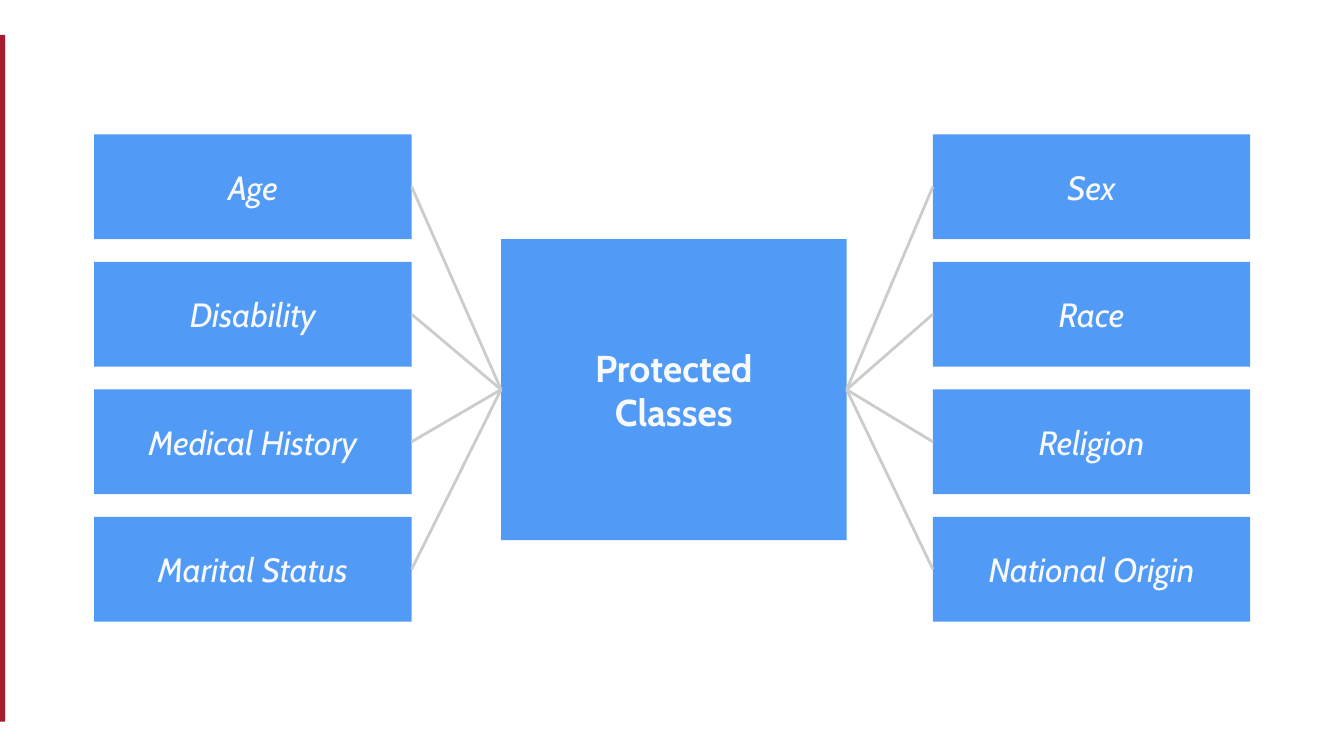
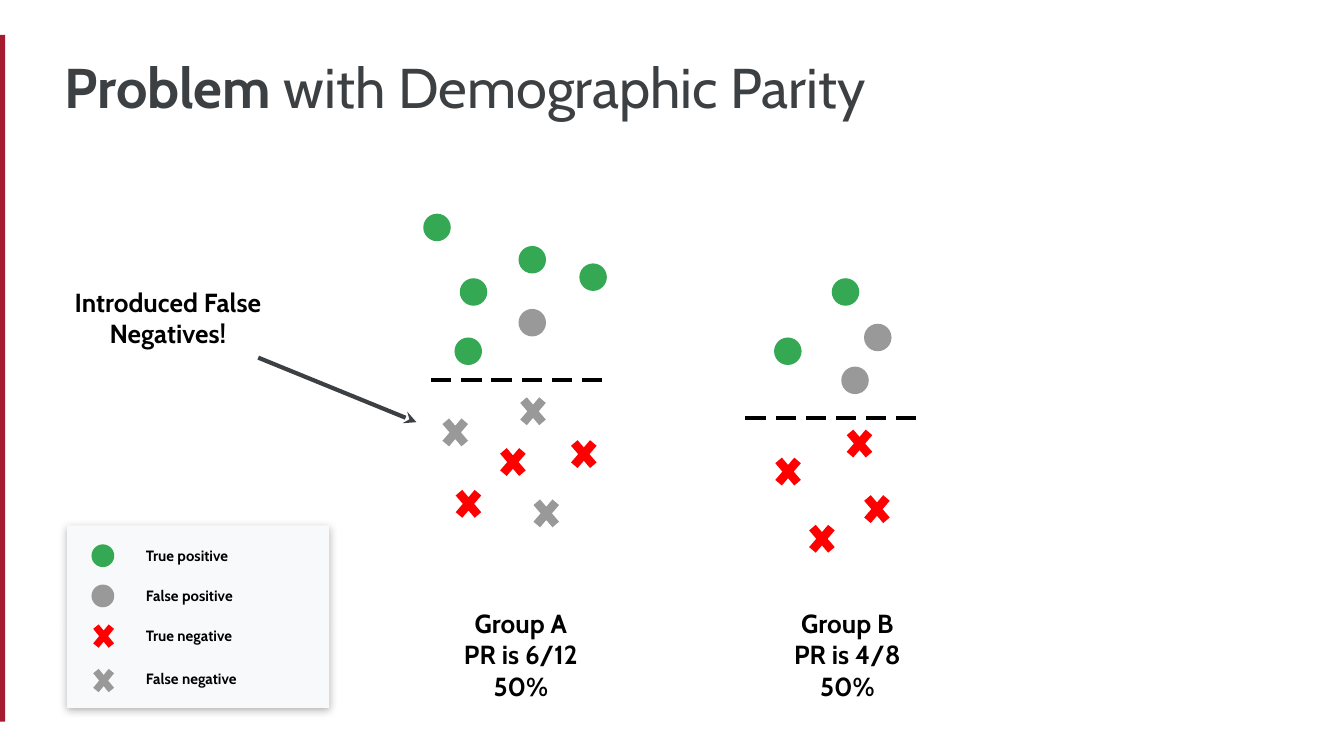
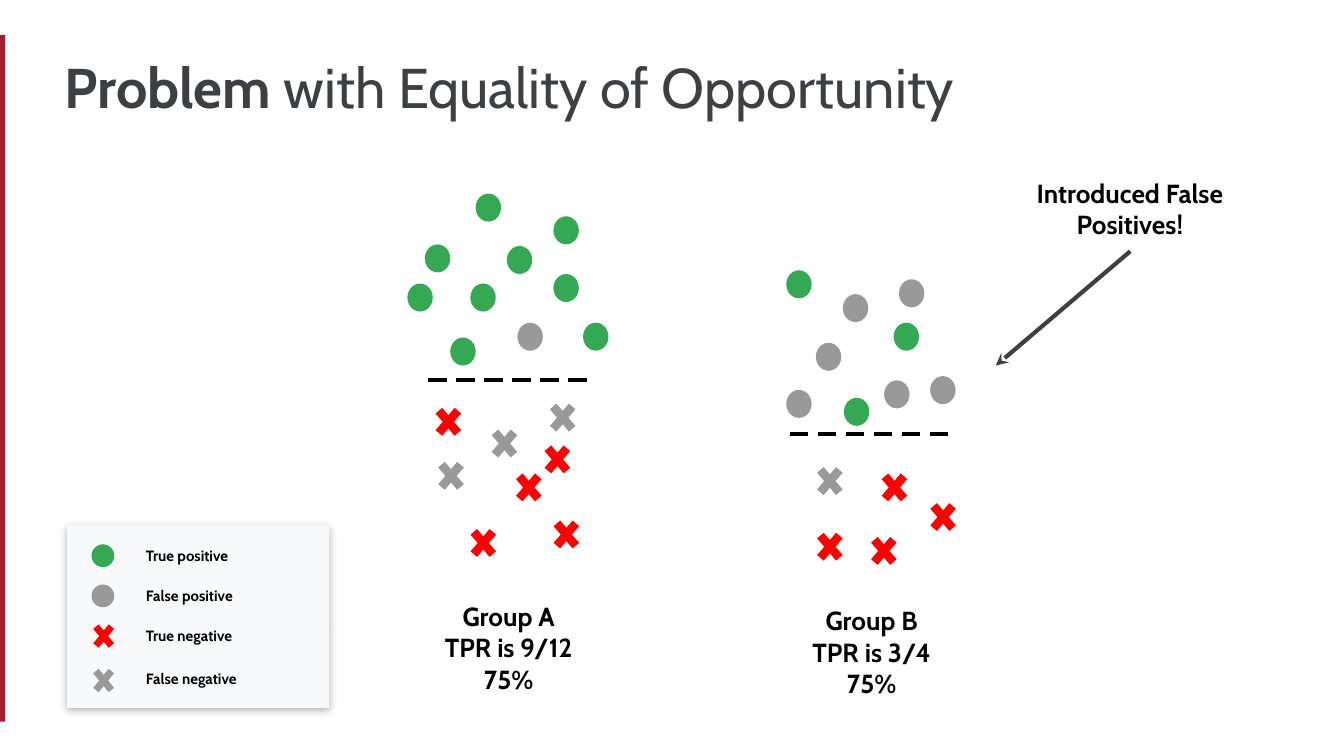
"""Build three slides on protected classes and fairness measures."""
from dataclasses import dataclass

import pptx
import pptx.dml.color
import pptx.enum.shapes
import pptx.enum.text
import pptx.oxml
import pptx.oxml.ns
import pptx.util
from lxml import etree

Cm = pptx.util.Cm
Pt = pptx.util.Pt
SHAPE = pptx.enum.shapes.MSO_SHAPE
ALIGN = pptx.enum.text.PP_ALIGN
ANCHOR = pptx.enum.text.MSO_ANCHOR


@dataclass(frozen=True)
class Theme:
    font: str = "Cabin"
    crimson: str = "A51C30"
    blue: str = "519BF7"
    light: str = "F8F9FA"
    rule: str = "CCCCCC"
    dark: str = "3C4043"
    black: str = "000000"
    green: str = "34A853"
    gray: str = "999999"
    red: str = "FF0000"
    title_size: int = 30
    hub_size: int = 20
    class_size: int = 18
    label_size: int = 14
    legend_size: int = 8


THEME = Theme()
MARKERS = {
    "True positive": (SHAPE.FLOWCHART_CONNECTOR, THEME.green),
    "False positive": (SHAPE.FLOWCHART_CONNECTOR, THEME.gray),
    "True negative": (SHAPE.MATH_MULTIPLY, THEME.red),
    "False negative": (SHAPE.MATH_MULTIPLY, THEME.gray),
}
CROSS_SIZE = (0.69, 0.81)


def rgb(color):
    return pptx.dml.color.RGBColor.from_string(color)


class Deck:
    def __init__(self, theme):
        self.theme = theme
        self.prs = pptx.Presentation()
        self.prs.slide_width = Cm(25.4)
        self.prs.slide_height = Cm(14.29)
        self.s = None

    def new_slide(self):
        self.s = self.prs.slides.add_slide(self.prs.slide_layouts[6])
        self.shape(SHAPE.RECTANGLE, -0.05, 0.66, 0.15, 12.98, self.theme.crimson)

    def shape(self, kind, x, y, w, h, color):
        sp = self.s.shapes.add_shape(kind, Cm(x), Cm(y), Cm(w), Cm(h))
        sp.shadow.inherit = False
        sp.fill.solid()
        sp.fill.fore_color.rgb = rgb(color)
        sp.line.fill.background()
        return sp

    def set_text(self, sp, text, size, color, bold=False, italic=False, align=ALIGN.CENTER):
        tf = sp.text_frame
        tf.word_wrap = True
        tf.margin_left = tf.margin_right = tf.margin_top = tf.margin_bottom = Cm(0.25)
        tf.text = text
        for p in tf.paragraphs:
            p.alignment = align
            for r in p.runs:
                self.style(r, size, color, bold, italic)
        return tf

    def style(self, r, size, color, bold=False, italic=False):
        r.font.name = self.theme.font
        r.font.size = Pt(size)
        r.font.color.rgb = rgb(color)
        r.font.bold = bold
        r.font.italic = italic

    def text(self, x, y, w, h, text, size, color=None, align=ALIGN.CENTER):
        sp = self.s.shapes.add_textbox(Cm(x), Cm(y), Cm(w), Cm(h))
        return self.set_text(sp, text, size, color or self.theme.black, bold=True, align=align)

    def title(self, strong, rest):
        t = self.theme
        tf = self.text(0.97, 0.74, 21.67, 1.52, strong, t.title_size, t.dark, ALIGN.LEFT)
        r = tf.paragraphs[0].add_run()
        r.text = rest
        self.style(r, t.title_size, t.dark)

    def card(self, x, y, w, h, text, size, bold=False, italic=False):
        sp = self.shape(SHAPE.RECTANGLE, x, y, w, h, self.theme.blue)
        self.set_text(sp, text, size, self.theme.light, bold, italic)
        sp.text_frame.vertical_anchor = ANCHOR.MIDDLE
        return sp

    def line(self, color, width, start=(0, 0), end=(0, 0)):
        points = [Cm(v) for v in (*start, *end)]
        cxn = self.s.shapes.add_connector(pptx.enum.shapes.MSO_CONNECTOR.STRAIGHT, *points)
        cxn.line.color.rgb = rgb(color)
        cxn.line.width = Pt(width)
        etree.SubElement(cxn._element.spPr, pptx.oxml.ns.qn("a:effectLst"))
        return cxn

    def join(self, first, first_side, second, second_side):
        cxn = self.line(self.theme.rule, 1.5)
        cxn.begin_connect(first, first_side)
        cxn.end_connect(second, second_side)

    def arrow(self, start, end):
        cxn = self.line(self.theme.dark, 2.25, start, end)
        ln = cxn._element.spPr.find(pptx.oxml.ns.qn("a:ln"))
        etree.SubElement(ln, pptx.oxml.ns.qn("a:tailEnd"), type="stealth")

    def marker(self, name, x, y, dot_size, cross_size=CROSS_SIZE):
        kind, color = MARKERS[name]
        size = cross_size if kind == SHAPE.MATH_MULTIPLY else dot_size
        self.shape(kind, x, y, *size, color)

    def threshold(self, x, y, width, step):
        for i in range(6):
            self.shape(SHAPE.MATH_MINUS, x + i * step, y, width, 0.3, self.theme.black)

    def group(self, label, label_at, threshold_at, step, dot_size, points):
        for name, places in zip(MARKERS, points):
            for x, y in places:
                self.marker(name, x, y, dot_size)
        self.threshold(*threshold_at, dot_size[0], step)
        self.text(*label_at, 4.29, 1.68, label, self.theme.label_size)

    def callout(self, text, at, start, end):
        self.text(*at, 4.67, 1.68, text, self.theme.label_size)
        self.arrow(start, end)

    def legend(self):
        panel = self.shape(SHAPE.RECTANGLE, 1.27, 9.93, 4.95, 3.45, self.theme.light)
        effects = panel._element.spPr.find(pptx.oxml.ns.qn("a:effectLst"))
        shadow = etree.SubElement(
            effects, pptx.oxml.ns.qn("a:outerShdw"), blurRad=str(Pt(4.5)), dist=str(Pt(1.5)),
            dir="5400000", algn="bl", rotWithShape="0")
        color = etree.SubElement(shadow, pptx.oxml.ns.qn("a:srgbClr"), val=self.theme.black)
        etree.SubElement(color, pptx.oxml.ns.qn("a:alpha"), val="30000")
        corners = [(1.73, 10.29), (1.73, 11.05), (1.68, 11.68), (1.68, 12.52)]
        for name, (x, y) in zip(MARKERS, corners):
            self.marker(name, x, y, (0.43, 0.43), (0.56, 0.69))
        tf = self.text(2.51, 10.08, 3.56, 3.12, "\n".join(MARKERS),
                       self.theme.legend_size, align=ALIGN.LEFT)
        for p, gap in zip(tf.paragraphs[1:], (12, 12, 13)):
            p.space_before = Pt(gap)


def protected_classes(deck):
    deck.new_slide()
    hub = deck.card(9.47, 4.52, 6.53, 5.69, "Protected\nClasses", deck.theme.hub_size, bold=True)
    columns = [
        (1.78, 1, 3, ["Age", "Disability", "Medical History", "Marital Status"]),
        (17.63, 3, 1, ["Sex", "Race", "Religion", "National Origin"]),
    ]
    for x, hub_side, card_side, names in columns:
        for i, name in enumerate(names):
            card = deck.card(x, 2.54 + i * 2.41, 6, 1.98, name, deck.theme.class_size, italic=True)
            deck.join(hub, hub_side, card, card_side)


def demographic_parity(deck):
    deck.new_slide()
    deck.title("Problem", " with Demographic Parity")
    dot = (0.52, 0.52)
    deck.group("Group A\nPR is 6/12\n50%", (7.7, 11.23), (8.08, 7.04), 0.57, dot, [
        [(8, 4.04), (9.8, 4.65), (10.95, 4.98), (8.69, 5.26), (8.59, 6.38)],
        [(9.8, 5.84)],
        [(10.69, 8.18), (9.35, 8.33), (8.51, 9.12)],
        [(9.73, 7.37), (8.26, 7.77), (9.98, 9.3)],
    ])
    deck.group("Group B\nPR is 4/8\n50%", (13.87, 11.23), (14.02, 7.75), 0.57, dot, [
        [(15.72, 5.26), (14.63, 6.38)],
        [(16.33, 6.12), (15.9, 6.93)],
        [(15.9, 7.98), (14.55, 8.51), (16.23, 9.22), (15.19, 9.78)],
        [],
    ])
    deck.legend()
    deck.callout("Introduced False Negatives!", (0.84, 5.16), (4.88, 6.76), (7.87, 7.98))


def equality_of_opportunity(deck):
    deck.new_slide()
    deck.title("Problem", " with Equality of Opportunity")
    dot = (0.48, 0.53)
    deck.group("Group A\nTPR is 9/12\n75%", (7.47, 11.1), (8.03, 7.04), 0.53, dot, [
        [(8.99, 3.66), (10.46, 4.09), (8.03, 4.62), (9.58, 4.65), (10.46, 5.18),
         (7.7, 5.36), (8.89, 5.36), (11.02, 6.1), (8.51, 6.38)],
        [(9.78, 6.1)],
        [(8.13, 7.57), (10.19, 8.28), (9.65, 8.81), (10.36, 9.7), (8.79, 9.86)],
        [(10.29, 7.49), (9.19, 7.98), (8.18, 8.59)],
    ])
    deck.group("Group B\nTPR is 3/4\n75%", (14.33, 11.18), (14.86, 8.05), 0.53, dot, [
        [(14.86, 5.11), (16.89, 6.1), (15.95, 7.52)],
        [(16.99, 5.28), (15.93, 5.56), (15.42, 6.48), (17.58, 7.11), (16.71, 7.19),
         (14.86, 7.37)],
        [(16.56, 8.81), (17.48, 9.37), (15.34, 9.93), (16.36, 10.01)],
        [(15.34, 8.69)],
    ])
    deck.legend()
    deck.callout("Introduced False Positives!", (19.02, 3.1), (21.36, 4.75), (18.82, 6.91))


def main():
    deck = Deck(THEME)
    protected_classes(deck)
    demographic_parity(deck)
    equality_of_opportunity(deck)
    deck.prs.save("out.pptx")


if __name__ == "__main__":
    main()
